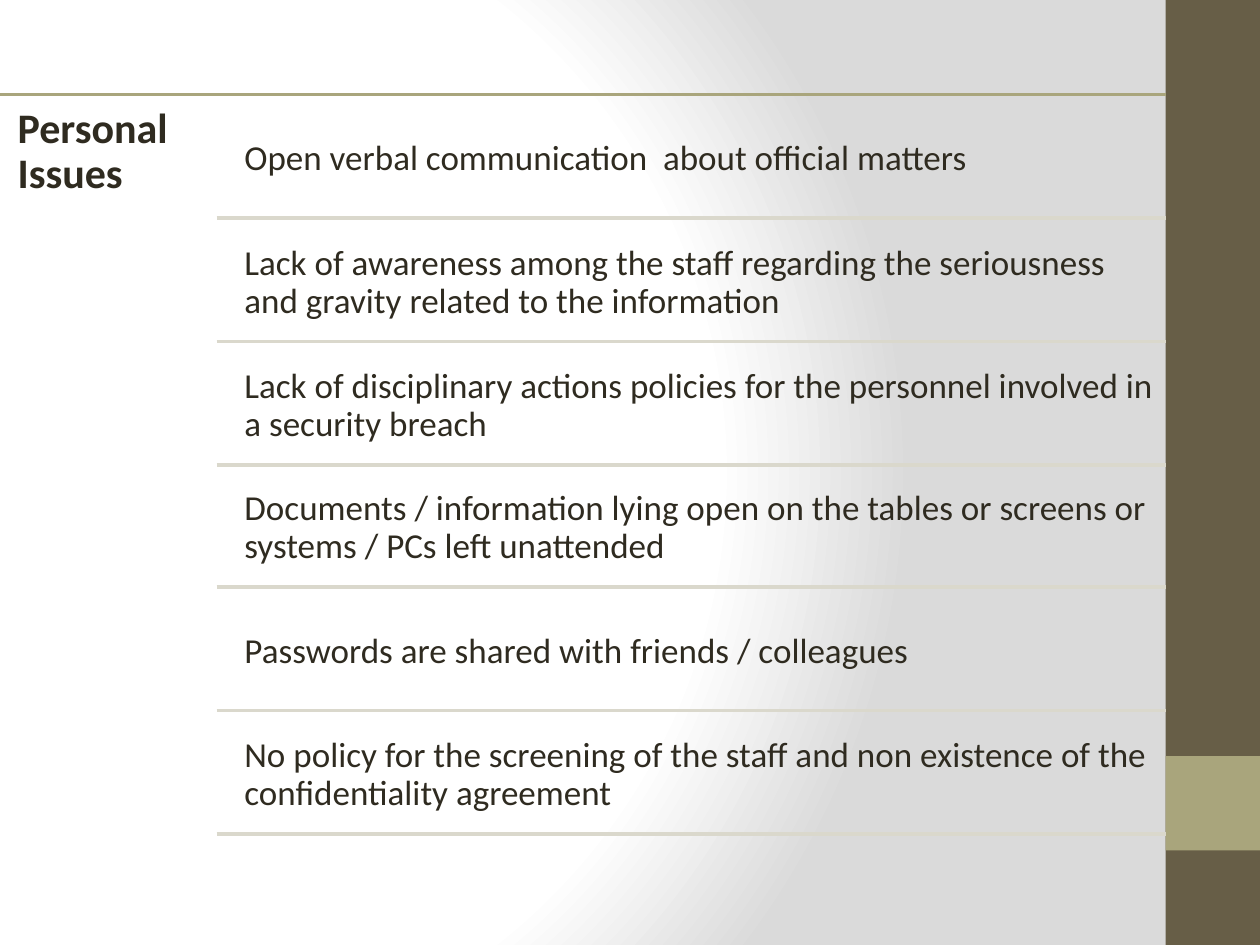
import pptx
import pptx.util
import pptx.oxml
import pptx.oxml.ns
import pptx.dml.color
import pptx.enum.shapes
import pptx.enum.text

PX = 9144  # EMU per px, 100 px to the inch
FONT = "Calibri"
INK, DARK, ACCENT, RULE = "2F2B20", "675E47", "A9A57C", "DAD8CC"
WIDTH, HEIGHT, SIDEBAR = 1000, 750, 925
ROW_TOP, ROW_HEIGHT, ROW_PITCH = 80, 93, 97.8

ISSUES = [
    "Open verbal communication  about official matters",
    "Lack of awareness among the staff regarding the seriousness and gravity "
    "related to the information",
    "Lack of disciplinary actions policies for the personnel involved in a "
    "security breach",
    "Documents / information lying open on the tables or screens or systems "
    "/ PCs left unattended",
    "Passwords are shared with friends / colleagues",
    "No policy for the screening of the staff and non existence of the "
    "confidentiality agreement",
]


def rgb(color):
    return pptx.dml.color.RGBColor.from_string(color)


def px(*lengths):
    return [pptx.util.Emu(n * PX) for n in lengths]


class Deck:
    """Holds the style and the current slide."""

    def __init__(self):
        self.prs = pptx.Presentation()
        self.prs.slide_width, self.prs.slide_height = px(WIDTH, HEIGHT)
        self.s = self.prs.slides.add_slide(self.prs.slide_layouts[5])

    def background(self, stops):
        """Radial gradient centred on the left edge."""
        self.s.background.fill.solid()
        old = self.s.element.xpath(".//p:bgPr/a:solidFill")[0]
        marks = "".join(
            f'<a:gs pos="{pos * 1000}"><a:srgbClr val="{color}"/></a:gs>'
            for pos, color in stops)
        old.getparent().replace(old, pptx.oxml.parse_xml(
            f'<a:gradFill {pptx.oxml.ns.nsdecls("a")} rotWithShape="1">'
            f'<a:gsLst>{marks}</a:gsLst><a:path path="circle">'
            '<a:fillToRect l="20000" t="50000" r="100000" b="50000"/>'
            '</a:path></a:gradFill>'))

    def block(self, x, y, w, h, color):
        sp = self.s.shapes.add_shape(
            pptx.enum.shapes.MSO_SHAPE.RECTANGLE, *px(x, y, w, h))
        sp.shadow.inherit = False
        sp.fill.solid()
        sp.fill.fore_color.rgb = rgb(color)
        sp.line.fill.background()

    def rule(self, x1, x2, y, color):
        line = self.s.shapes.add_connector(
            pptx.enum.shapes.MSO_CONNECTOR.STRAIGHT, *px(x1, y, x2, y))
        line.line.color.rgb = rgb(color)
        line.line.width = pptx.util.Pt(2)
        line._element.spPr.append(pptx.oxml.parse_xml(
            f'<a:effectLst {pptx.oxml.ns.nsdecls("a")}/>'))

    def set_text(self, sp, text, size, inset, anchor, bold=False):
        tf = sp.text_frame
        tf.word_wrap = True
        tf.auto_size = pptx.enum.text.MSO_AUTO_SIZE.NONE
        tf.vertical_anchor = anchor
        (tf.margin_left, tf.margin_top,
         tf.margin_right, tf.margin_bottom) = px(*[inset] * 4)
        p = tf.paragraphs[0]
        p.alignment = pptx.enum.text.PP_ALIGN.LEFT
        p.line_spacing = 0.9
        r = p.add_run()
        r.text = text
        r.font.name, r.font.size = FONT, pptx.util.Pt(size)
        r.font.bold = bold
        r.font.color.rgb = rgb(INK)

    def title(self, x, y, w, h, text):
        sp = self.s.shapes.title
        sp.left, sp.top, sp.width, sp.height = px(x, y, w, h)
        self.set_text(sp, text, 24, 10, pptx.enum.text.MSO_ANCHOR.TOP, True)

    def text(self, x, y, w, h, text):
        sp = self.s.shapes.add_textbox(*px(x, y, w, h))
        self.set_text(sp, text, 20, 8, pptx.enum.text.MSO_ANCHOR.MIDDLE)


def main():
    deck = Deck()

    # Background and sidebar
    deck.background([(0, "FFFFFF"), (75, "FFFFFF"), (100, "DADADA")])
    deck.block(SIDEBAR, 0, 75, HEIGHT, DARK)
    deck.block(SIDEBAR, 600, 75, 75, ACCENT)

    # Heading under the top rule
    deck.rule(0, SIDEBAR, 75, ACCENT)
    deck.title(4, 75, 188, 592, "Personal Issues")

    # One row per issue, each closed by a rule
    for i, issue in enumerate(ISSUES):
        top = round(ROW_TOP + i * ROW_PITCH)
        deck.text(186, top, SIDEBAR - 186, ROW_HEIGHT, issue)
        deck.rule(172, SIDEBAR, top + ROW_HEIGHT, RULE)

    deck.prs.save("out.pptx")


if __name__ == "__main__":
    main()
